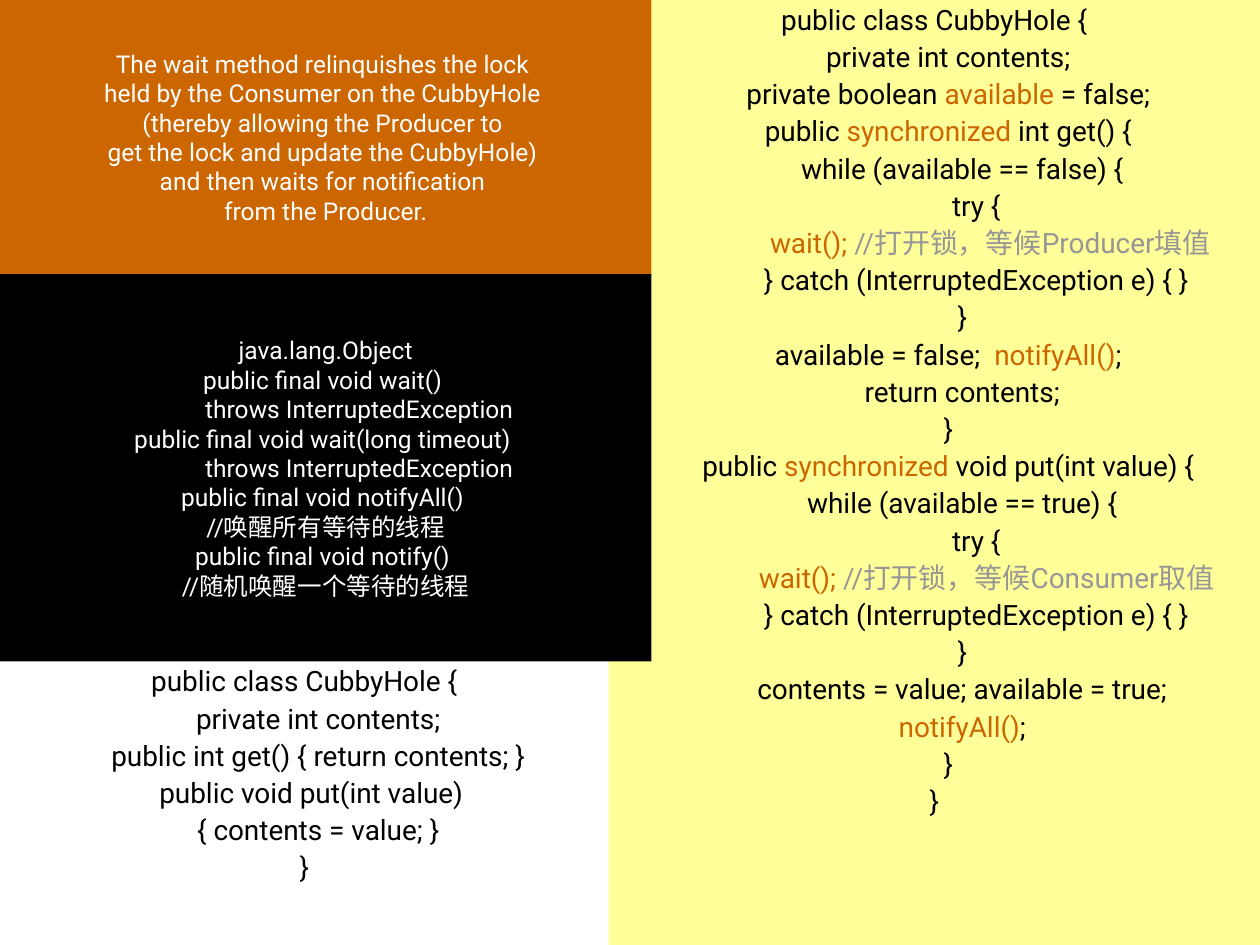
from dataclasses import dataclass

from pptx import Presentation
from pptx.dml.color import RGBColor
from pptx.enum.shapes import MSO_SHAPE
from pptx.enum.text import MSO_ANCHOR, PP_ALIGN
from pptx.util import Inches, Pt


@dataclass(frozen=True)
class Theme:
    font: str = "Roboto"
    code_size: int = 16
    note_size: int = 14
    black: str = "000000"
    white: str = "FFFFFF"
    yellow: str = "FFFF99"
    orange: str = "CC6600"
    grey: str = "969696"


THEME = Theme()
HANG = Inches(0.38)

# Left, top, width and height as shares of the slide
WAIT_NOTE_AREA = (0, 0, 0.517, 0.29)
OBJECT_API_AREA = (0, 0.29, 0.517, 0.41)
PLAIN_CODE_AREA = (0, 0.7, 0.483, 0.3)
SYNC_CODE_AREA = (0.483, 0, 0.517, 1)

# Each line is its indent in ems, then its runs; a coloured run is (text, colour)
WAIT_NOTE = [
    (0, "The wait method relinquishes the lock "),
    (0, "held by the Consumer on the CubbyHole "),
    (0, "(thereby allowing the Producer to "),
    (0, "get the lock and update the CubbyHole) "),
    (0, "and then waits for notification "),
    (0, "from the Producer."),
]
THROWS = (2.75, "throws InterruptedException")
OBJECT_API = [
    (0, "java.lang.Object"),
    (0, "public final void wait() "),
    THROWS,
    (0, "public final void wait(long timeout) "),
    THROWS,
    (0, "public final void notifyAll() "),
    (0, "//唤醒所有等待的线程"),
    (0, "public final void notify() "),
    (0, "//随机唤醒一个等待的线程"),
]
CLASS_HEAD = [(0, "public class CubbyHole {"), (1, "private int contents;")]
CLASS_END = (0, "}")
PLAIN_CODE = [
    *CLASS_HEAD,
    (1, "public int get() { return contents; }"),
    (0.5, "public void put(int value)"),
    (1, "{ contents = value; }"),
    CLASS_END,
]
SYNCHRONIZED = ("synchronized", THEME.orange)
NOTIFY_ALL = ("notifyAll()", THEME.orange)


def wait_loop(state, indent, comment):
    """Lines of the loop that waits while available equals state."""
    return [
        (2, f"while (available == {state}) {{"),
        (3, "try {"),
        (indent, ("wait(); ", THEME.orange), (comment, THEME.grey)),
        (3, "} catch (InterruptedException e) { }"),
        (2, "}"),
    ]


SYNC_CODE = [
    *CLASS_HEAD,
    (1, "private boolean ", ("available", THEME.orange), " = false;"),
    (1, "public ", SYNCHRONIZED, " int get() {"),
    *wait_loop("false", 4, "//打开锁，等候Producer填值"),
    (1, "available = false;  ", NOTIFY_ALL, ";"),
    (2, "return contents;"),
    (1, "}"),
    (1, "public ", SYNCHRONIZED, " void put(int value) {"),
    *wait_loop("true", 3.75, "//打开锁，等候Consumer取值"),
    (2, "contents = value; available = true;"),
    (2, NOTIFY_ALL, ";"),
    (1, "}"),
    CLASS_END,
]


def add_panel(prs, slide, area, fill, anchor):
    x, y, w, h = area
    sp = slide.shapes.add_shape(
        MSO_SHAPE.RECTANGLE,
        int(x * prs.slide_width), int(y * prs.slide_height),
        int(w * prs.slide_width), int(h * prs.slide_height))
    sp.shadow.inherit = False
    sp.fill.solid()
    sp.fill.fore_color.rgb = RGBColor.from_string(fill)
    sp.line.fill.background()
    tf = sp.text_frame
    tf.word_wrap = True
    tf.vertical_anchor = anchor
    return tf


def add_run(p, text, size, color):
    r = p.add_run()
    r.text = text
    r.font.name = THEME.font
    r.font.size = Pt(size)
    r.font.color.rgb = RGBColor.from_string(color)


def add_lines(tf, lines, size, color, hang=0):
    """Write centred lines; returns their paragraphs."""
    for i, (indent, *runs) in enumerate(lines):
        p = tf.paragraphs[0] if i == 0 else tf.add_paragraph()
        p.alignment = PP_ALIGN.CENTER
        pPr = p._p.get_or_add_pPr()
        pPr.set("marL", str(int(hang + Pt(indent * size))))
        pPr.set("indent", str(int(-hang)))
        for run in runs:
            text, run_color = (run, color) if isinstance(run, str) else run
            add_run(p, text, size, run_color)
    return tf.paragraphs


def add_code_panel(prs, slide, area, fill, lines):
    tf = add_panel(prs, slide, area, fill, MSO_ANCHOR.TOP)
    for p in add_lines(tf, lines, THEME.code_size, THEME.black, HANG):
        p.line_spacing = 0.9
        p.space_before = Pt(4)


def add_note_panel(prs, slide, area, fill, lines):
    tf = add_panel(prs, slide, area, fill, MSO_ANCHOR.MIDDLE)
    add_lines(tf, lines, THEME.note_size, THEME.white)


def main():
    prs = Presentation()
    prs.slide_width, prs.slide_height = Inches(10), Inches(7.5)
    slide = prs.slides.add_slide(prs.slide_layouts[6])
    add_code_panel(prs, slide, PLAIN_CODE_AREA, THEME.white, PLAIN_CODE)
    add_code_panel(prs, slide, SYNC_CODE_AREA, THEME.yellow, SYNC_CODE)
    add_note_panel(prs, slide, OBJECT_API_AREA, THEME.black, OBJECT_API)
    add_note_panel(prs, slide, WAIT_NOTE_AREA, THEME.orange, WAIT_NOTE)
    prs.save("out.pptx")


if __name__ == "__main__":
    main()
